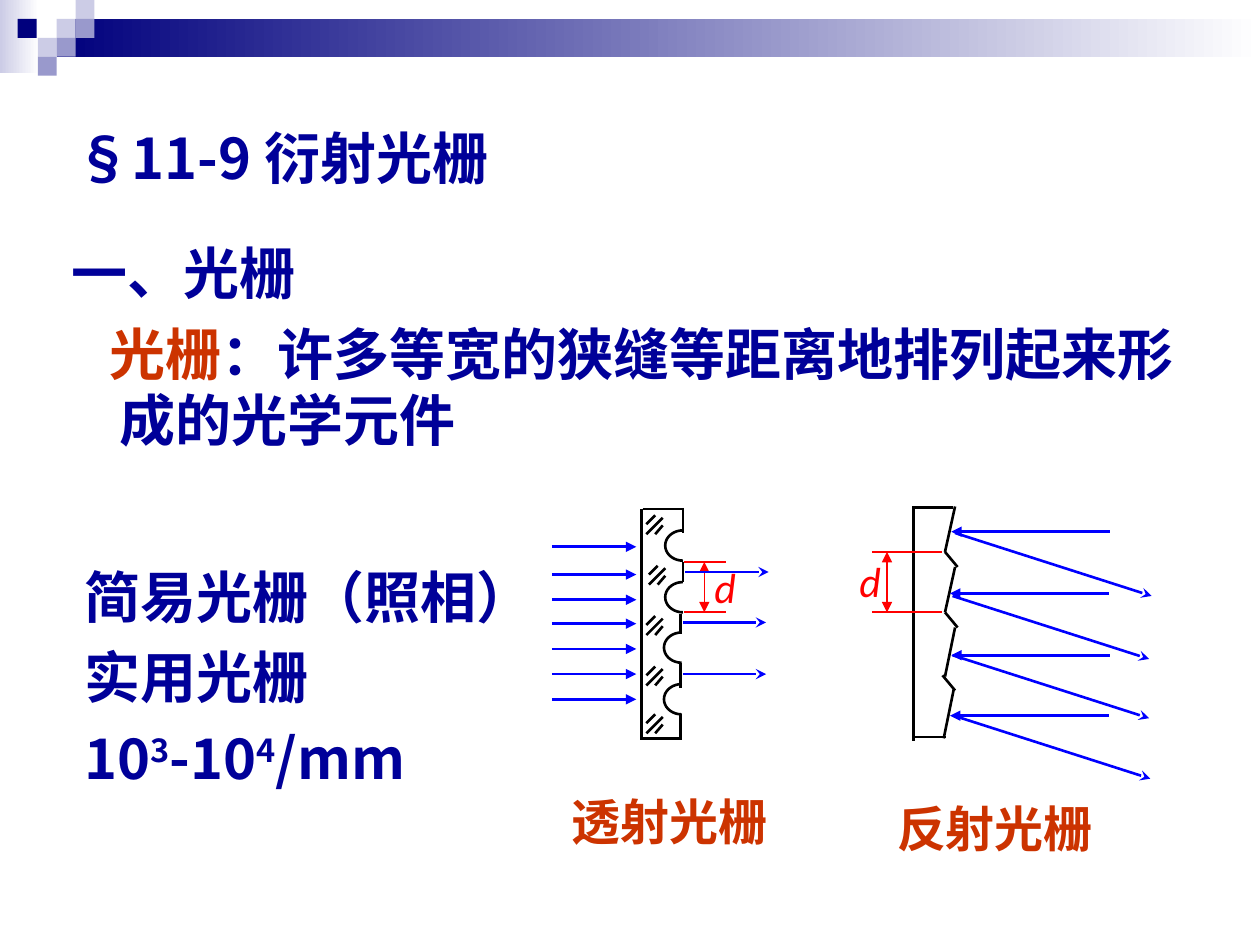
import math

import lxml.etree
import pptx
import pptx.dml.color
import pptx.enum.shapes
import pptx.enum.text
import pptx.oxml.ns
import pptx.util
from pptx.util import Inches

RGBColor = pptx.dml.color.RGBColor
NAVY = RGBColor(0x00, 0x00, 0x7D)
LAVENDER = RGBColor(0xCC, 0xCC, 0xE6)
PERIWINKLE = RGBColor(0x99, 0x99, 0xCC)
WHITE = RGBColor(0xFF, 0xFF, 0xFF)
BLACK = RGBColor(0x00, 0x00, 0x00)
TEXT_BLUE = RGBColor(0x00, 0x00, 0x99)
RUST = RGBColor(0xCC, 0x33, 0x00)
RAY_BLUE = RGBColor(0x00, 0x00, 0xFF)
RED = RGBColor(0xFF, 0x00, 0x00)
CJK_FONT = "Noto Sans CJK SC"
qn = pptx.oxml.ns.qn

deck = pptx.Presentation()
deck.slide_width, deck.slide_height = Inches(10), Inches(7.5)
slide = deck.slides.add_slide(deck.slide_layouts[6])
shapes = slide.shapes


def add_line(x1, y1, x2, y2, color=BLACK, width=1.5, head=None, tail=None):
    line = shapes.add_connector(pptx.enum.shapes.MSO_CONNECTOR.STRAIGHT,
                                Inches(x1), Inches(y1), Inches(x2), Inches(y2))
    line.line.color.rgb = color
    line.line.width = pptx.util.Pt(width)
    properties = line._element.spPr
    outline = properties.find(qn("a:ln"))
    for tag, arrow in (("a:headEnd", head), ("a:tailEnd", tail)):
        if arrow:
            lxml.etree.SubElement(outline, qn(tag)).set("type", arrow)
    lxml.etree.SubElement(properties, qn("a:effectLst"))


def add_text(left, top, width, height, paragraphs, size, inset, font=CJK_FONT):
    """Each paragraph is a list of (text, color, baseline) runs."""
    box = shapes.add_textbox(Inches(left), Inches(top), Inches(width), Inches(height))
    frame = box.text_frame
    frame.word_wrap = True
    frame.margin_left = frame.margin_right = Inches(inset)
    frame.margin_top = frame.margin_bottom = Inches(min(inset, 0.05))
    for index, runs in enumerate(paragraphs):
        paragraph = frame.add_paragraph() if index else frame.paragraphs[0]
        for text, color, baseline in runs:
            run = paragraph.add_run()
            run.text = text
            run.font.size = pptx.util.Pt(size)
            run.font.name = font
            run.font.color.rgb = color
            run.font.bold = font == CJK_FONT
            run.font.italic = font != CJK_FONT
            run_properties = run._r.get_or_add_rPr()
            lxml.etree.SubElement(run_properties, qn("a:ea")).set("typeface", font)
            if baseline:
                run_properties.set("baseline", str(baseline))
    return frame


# Header bands and squares
SQUARE = 0.15
bands = [(0, 0, 0.31, 0.58, LAVENDER, True), (0.45, 0.15, 9.55, 0.3, NAVY, True)]
squares = [(0.45, 0.15, LAVENDER), (0.6, 0, LAVENDER), (0.6, 0.15, PERIWINKLE),
           (0.3, 0.3, LAVENDER), (0.14, 0.15, NAVY), (0.45, 0.3, PERIWINKLE),
           (0.3, 0.45, PERIWINKLE)]
blocks = bands + [(x, y, SQUARE, SQUARE, color, False) for x, y, color in squares]
for x, y, width, height, color, fades in blocks:
    block = shapes.add_shape(pptx.enum.shapes.MSO_SHAPE.RECTANGLE,
                             Inches(x), Inches(y), Inches(width), Inches(height))
    block.shadow.inherit = False
    block.line.fill.background()
    if fades:
        block.fill.gradient()
        block.fill.gradient_angle = 0
        for stop, stop_color, position in zip(block.fill.gradient_stops, (color, WHITE), (0, 1)):
            stop.color.rgb = stop_color
            stop.position = position
    else:
        block.fill.solid()
        block.fill.fore_color.rgb = color

# Title
title = add_text(0.5, 0.5, 9, 1.5, [[("§11-9 衍射光栅", TEXT_BLUE, 0)]], 32, 0.1)
title.vertical_anchor = pptx.enum.text.MSO_ANCHOR.MIDDLE

# Definition and list
body = add_text(0.47, 1.85, 8.98, 5.26, [
    [("一、光栅", TEXT_BLUE, 0)],
    [("光栅", RUST, 0), ("：许多等宽的狭缝等距离地排列起来形成的光学元件", TEXT_BLUE, 0)],
    [("简易光栅（照相）", TEXT_BLUE, 0)],
    [("实用光栅", TEXT_BLUE, 0)],
    [("10", TEXT_BLUE, 0), ("3", TEXT_BLUE, 30000), ("-10", TEXT_BLUE, 0),
     ("4", TEXT_BLUE, 30000), ("/mm", TEXT_BLUE, 0)],
], 32, 0.1)
body_layout = [(-0.38, 0), (-0.08, 8), (-0.28, 63), (-0.28, 8), (-0.28, 8)]
for paragraph, (indent, space) in zip(body.paragraphs, body_layout):
    paragraph.line_spacing = pptx.util.Pt(38)
    paragraph.space_before = pptx.util.Pt(space)
    properties = paragraph._p.get_or_add_pPr()
    properties.set("marL", str(Inches(0.38)))
    properties.set("indent", str(Inches(indent)))

# Captions and spacing labels
for x, y, width, caption in ((7.11, 6.33, 1.8, "反射光栅"), (4.53, 6.27, 1.64, "透射光栅")):
    add_text(x, y, width, 0.47, [[(caption, RUST, 0)]], 28, 0.01)
for x, y in ((6.81, 4.4), (5.66, 4.45)):
    add_text(x, y, 0.35, 0.4, [[("d", RED, 0)]], 24, 0.01, "Calibri")

# Reflection grating: outline
add_line(7.25, 4.02, 7.25, 5.88)
add_line(7.25, 4.03, 7.56, 4.03)
add_line(7.25, 5.85, 7.51, 5.85)
for x, top, bottom in ((7.58, 4.02, 4.38), (7.58, 4.5, 4.86), (7.58, 4.98, 5.37), (7.57, 5.47, 5.86)):
    add_line(x, top, x - 0.08, bottom)
for x, y in ((7.5, 4.38), (7.5, 4.86), (7.48, 5.36)):
    add_line(x, y, x + 0.1, y + 0.12)

# Reflection grating: incoming and reflected rays
for x, y in ((7.55, 4.22), (7.54, 4.71), (7.55, 5.2), (7.54, 5.68)):
    add_line(x, y, x + 1.26, y, RAY_BLUE, head="triangle")
for x, y in ((7.58, 4.23), (7.56, 4.73), (7.56, 5.2), (7.57, 5.68)):
    add_line(x, y, x + 1.56, y + 0.5, RAY_BLUE, tail="stealth")

# Spacing dimensions of both gratings
for left, right, arrow_x, top, bottom in ((6.92, 7.48, 7.04, 4.38, 4.86), (5.43, 5.76, 5.59, 4.46, 4.86)):
    add_line(arrow_x, top, arrow_x, bottom, RED, 0.75, "triangle", "triangle")
    for y in (top, bottom):
        add_line(left, y, right, y, RED, 1)

# Transmission grating: incoming and transmitted rays
for y in (4.34, 4.56, 4.76, 4.95, 5.15, 5.35, 5.55):
    add_line(4.38, y, 5.05, y, RAY_BLUE, tail="triangle")
for x, y in ((5.44, 4.54), (5.42, 4.94), (5.42, 5.35)):
    add_line(x, y, x + 0.66, y, RAY_BLUE, tail="stealth")

# Transmission grating: outline
add_line(5.09, 4.04, 5.09, 5.87)
for y in (4.04, 5.86):
    add_line(5.1, y, 5.41, y)
for x, top, bottom in ((5.42, 4.03, 4.23), (5.42, 4.46, 4.62), (5.4, 4.87, 5.03),
                       (5.4, 5.26, 5.46), (5.4, 5.67, 5.87)):
    add_line(x, top, x, bottom)

# Transmission grating: rounded notches
for right, top in ((5.42, 4.21), (5.42, 4.62), (5.41, 5.02), (5.41, 5.43)):
    curve = [(Inches(right - 0.14 * math.sin(math.radians(angle))),
              Inches(top + 0.12 - 0.12 * math.cos(math.radians(angle))))
             for angle in range(0, 181, 10)]
    builder = shapes.build_freeform(*curve[0])
    builder.add_line_segments(curve[1:], close=False)
    notch = builder.convert_to_shape()
    notch.shadow.inherit = False
    notch.fill.background()
    notch.line.color.rgb = BLACK
    notch.line.width = pptx.util.Pt(1.5)

# Transmission grating: glass hatching
for x, y in ((5.13, 4.09), (5.15, 4.49), (5.13, 4.89), (5.13, 5.29), (5.13, 5.67)):
    add_line(x + 0.13, y + 0.08, x + 0.07, y + 0.15)
    add_line(x + 0.07, y, x, y + 0.07)
    add_line(x + 0.13, y + 0.02, x, y + 0.15)

deck.save("out.pptx")
